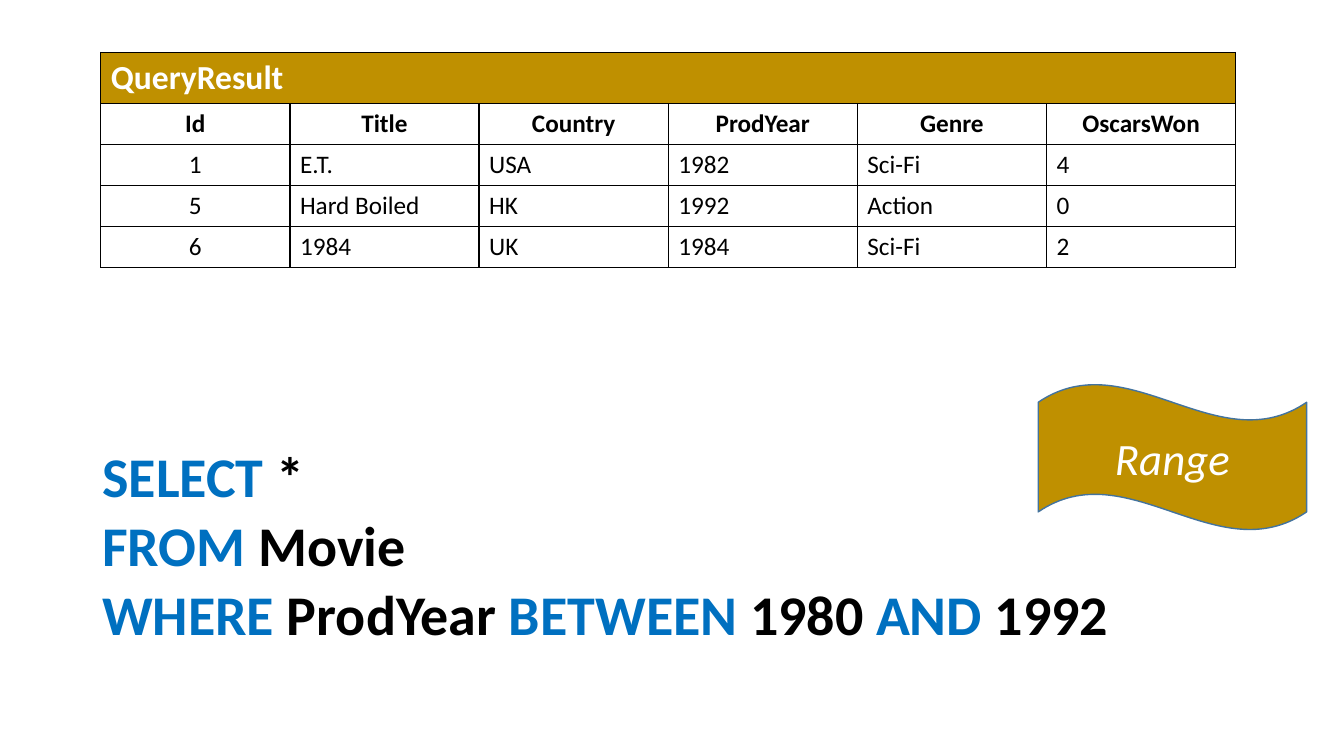
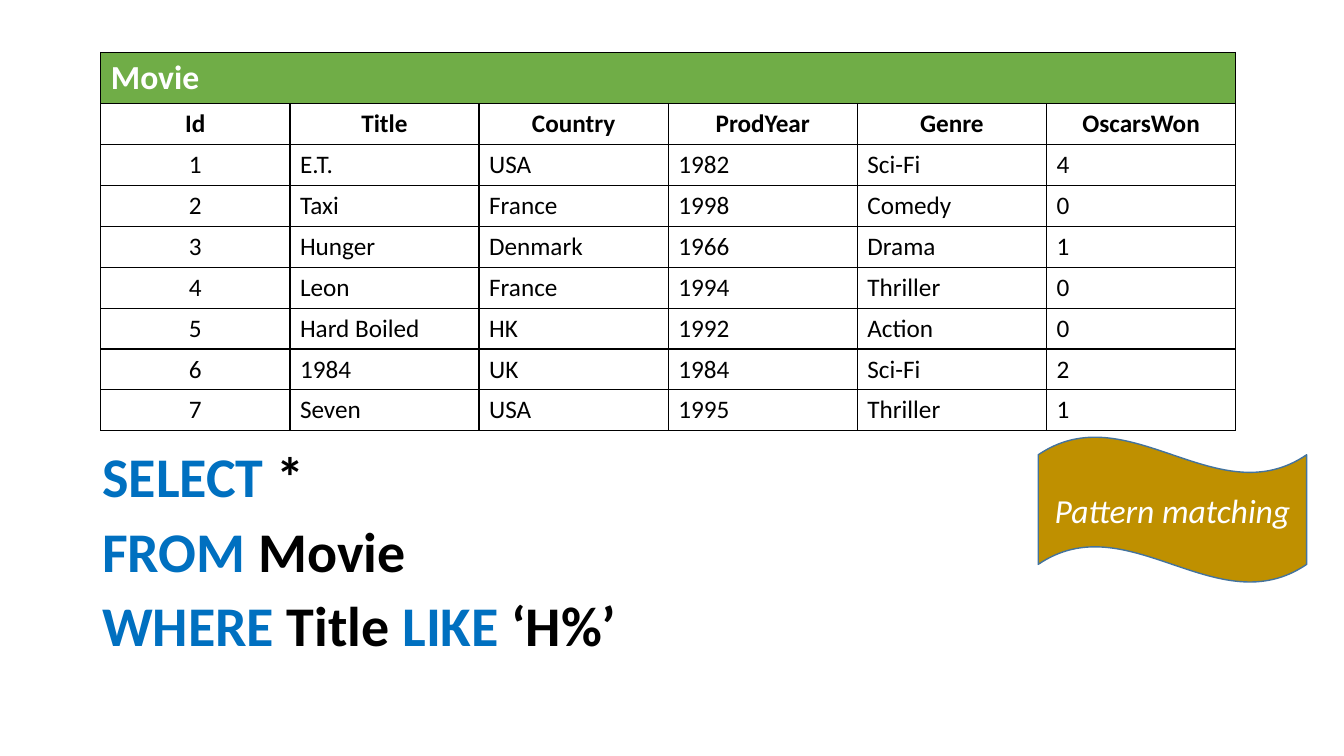
"""Build two slides that show SQL queries beside a movie table."""
from lxml.etree import SubElement
from pptx import Presentation
from pptx.dml.color import RGBColor
from pptx.enum.shapes import MSO_SHAPE
from pptx.enum.text import MSO_ANCHOR, PP_ALIGN
from pptx.oxml.ns import qn
from pptx.util import Pt

FONT = "Calibri"
GOLD = RGBColor(0xBF, 0x90, 0x00)
GREEN = RGBColor(0x70, 0xAD, 0x47)
BLUE = RGBColor(0x00, 0x70, 0xC0)
NAVY = RGBColor(0x43, 0x73, 0x9E)
BLACK = RGBColor(0, 0, 0)
WHITE = RGBColor(0xFF, 0xFF, 0xFF)

COLUMNS = ("Id", "Title", "Country", "ProdYear", "Genre", "OscarsWon")
MOVIES = [
    ("1", "E.T.", "USA", "1982", "Sci-Fi", "4"),
    ("2", "Taxi", "France", "1998", "Comedy", "0"),
    ("3", "Hunger", "Denmark", "1966", "Drama", "1"),
    ("4", "Leon", "France", "1994", "Thriller", "0"),
    ("5", "Hard Boiled", "HK", "1992", "Action", "0"),
    ("6", "1984", "UK", "1984", "Sci-Fi", "2"),
    ("7", "Seven", "USA", "1995", "Thriller", "1"),
]
SLIDES = [
    {
        "table": "QueryResult", "fill": GOLD,
        "rows": [m for m in MOVIES if m[0] in ("1", "5", "6")],
        "query": [("SELECT", " *"), ("FROM", " Movie"),
                  ("WHERE ", "ProdYear ", "BETWEEN", " 1980 ", "AND", " 1992")],
        "gap": 6, "label": "Range", "label_size": 32, "label_top": 274.3,
    },
    {
        "table": "Movie", "fill": GREEN, "rows": MOVIES,
        "query": [("SELECT", " *"), ("FROM", " Movie"),
                  ("WHERE ", "Title ", "LIKE", " ‘H%’")],
        "gap": 10, "label": "Pattern matching", "label_size": 24, "label_top": 311.8,
    },
]
TABLE_LEFT, TABLE_TOP, COL_W = 72, 37.5, 135.12
NAME_H, ROW_H = 36.6, 29.2


def add_run(p, text, size, color, bold=False, italic=False):
    r = p.add_run()
    r.text = text
    r.font.name, r.font.size = FONT, Pt(size)
    r.font.bold, r.font.italic = bold, italic
    r.font.color.rgb = color


def add_borders(cell):
    tc_pr = cell._tc.get_or_add_tcPr()
    for side in ("lnL", "lnR", "lnT", "lnB"):
        ln = SubElement(tc_pr, qn(f"a:{side}"), w=str(Pt(1)))
        fill = SubElement(ln, qn("a:solidFill"))
        SubElement(fill, qn("a:srgbClr"), val=str(BLACK))


def add_movie_table(s, name, color, rows):
    grid = [(name,) + ("",) * (len(COLUMNS) - 1), COLUMNS, *rows]
    heights = [NAME_H] + [ROW_H] * (len(grid) - 1)
    table = s.shapes.add_table(
        len(grid), len(COLUMNS), Pt(TABLE_LEFT), Pt(TABLE_TOP),
        Pt(COL_W * len(COLUMNS)), Pt(sum(heights))).table
    table.first_row = table.horz_banding = False
    for col in table.columns:
        col.width = Pt(COL_W)
    for i, (values, height) in enumerate(zip(grid, heights)):
        table.rows[i].height = Pt(height)
        for j, value in enumerate(values):
            cell = table.cell(i, j)
            add_borders(cell)
            if i == 0:
                cell.fill.solid()
                cell.fill.fore_color.rgb = color
            else:
                cell.fill.background()
            p = cell.text_frame.paragraphs[0]
            if i == 1 or i > 1 and j == 0:
                p.alignment = PP_ALIGN.CENTER
            if value:
                add_run(p, value, 18 if i else 24, BLACK if i else WHITE, bold=i < 2)
    table.cell(0, 0).merge(table.cell(0, len(COLUMNS) - 1))


def add_query(s, lines, gap):
    tf = s.shapes.add_textbox(Pt(66), Pt(317.5), Pt(830), Pt(184)).text_frame
    tf.word_wrap = True
    for i, line in enumerate(lines):
        p = tf.add_paragraph() if i else tf.paragraphs[0]
        p.line_spacing = 0.9
        p.space_before = Pt(gap if i else 0)
        for j, text in enumerate(line):
            add_run(p, text, 40, BLACK if j % 2 else BLUE, bold=True)


def add_label(s, text, size, top):
    sp = s.shapes.add_shape(MSO_SHAPE.WAVE, Pt(741.6), Pt(top), Pt(191.7), Pt(104.4))
    sp.shadow.inherit = False
    sp.fill.solid()
    sp.fill.fore_color.rgb = GOLD
    sp.line.color.rgb = NAVY
    sp.line.width = Pt(1)
    tf = sp.text_frame
    tf.word_wrap = True
    tf.vertical_anchor = MSO_ANCHOR.MIDDLE
    p = tf.paragraphs[0]
    p.alignment = PP_ALIGN.CENTER
    add_run(p, text, size, WHITE, italic=True)


def main():
    prs = Presentation()
    prs.slide_width, prs.slide_height = Pt(960), Pt(540)
    for item in SLIDES:
        s = prs.slides.add_slide(prs.slide_layouts[6])
        add_query(s, item["query"], item["gap"])
        add_movie_table(s, item["table"], item["fill"], item["rows"])
        add_label(s, item["label"], item["label_size"], item["label_top"])
    prs.save("out.pptx")


if __name__ == "__main__":
    main()
